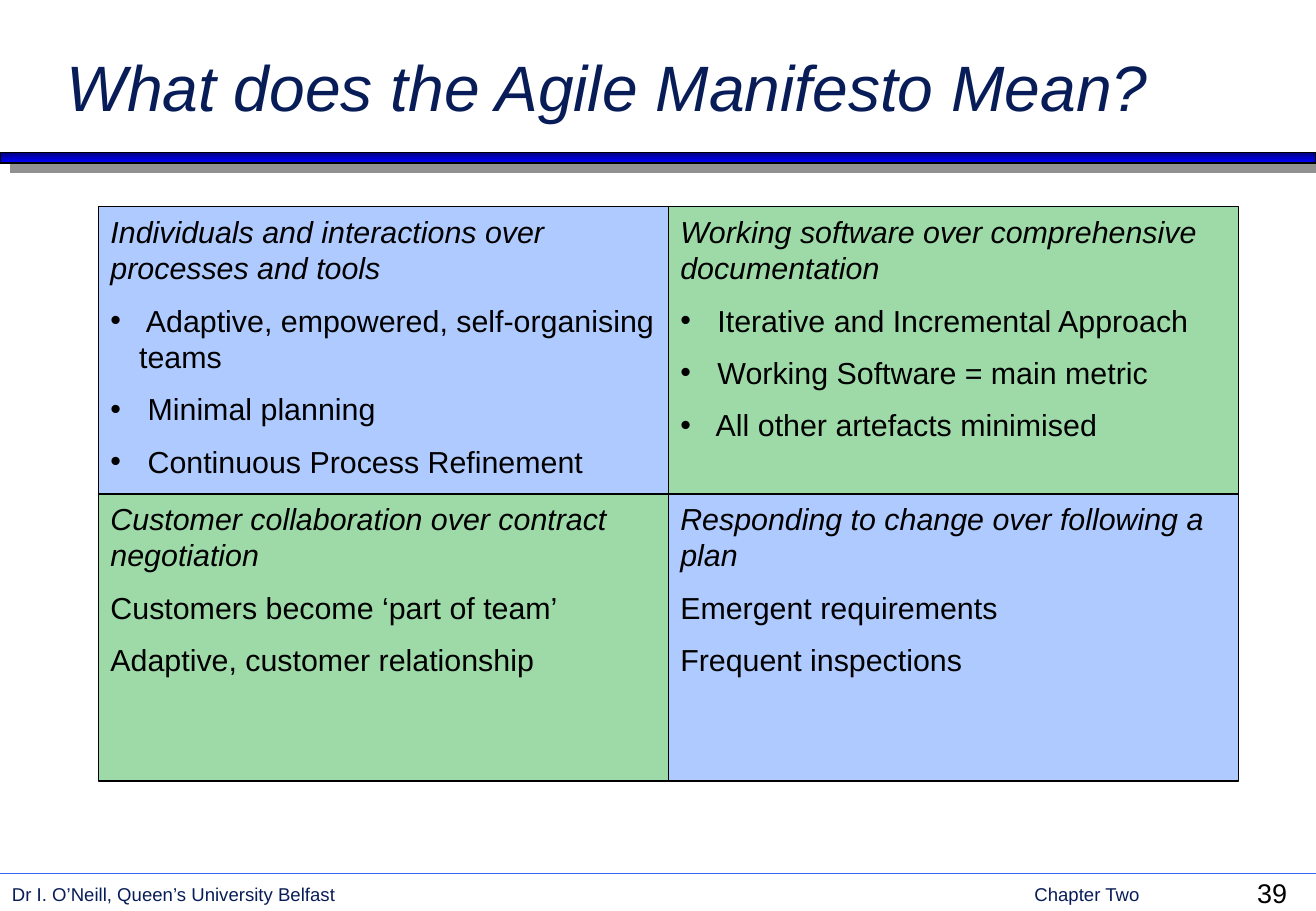
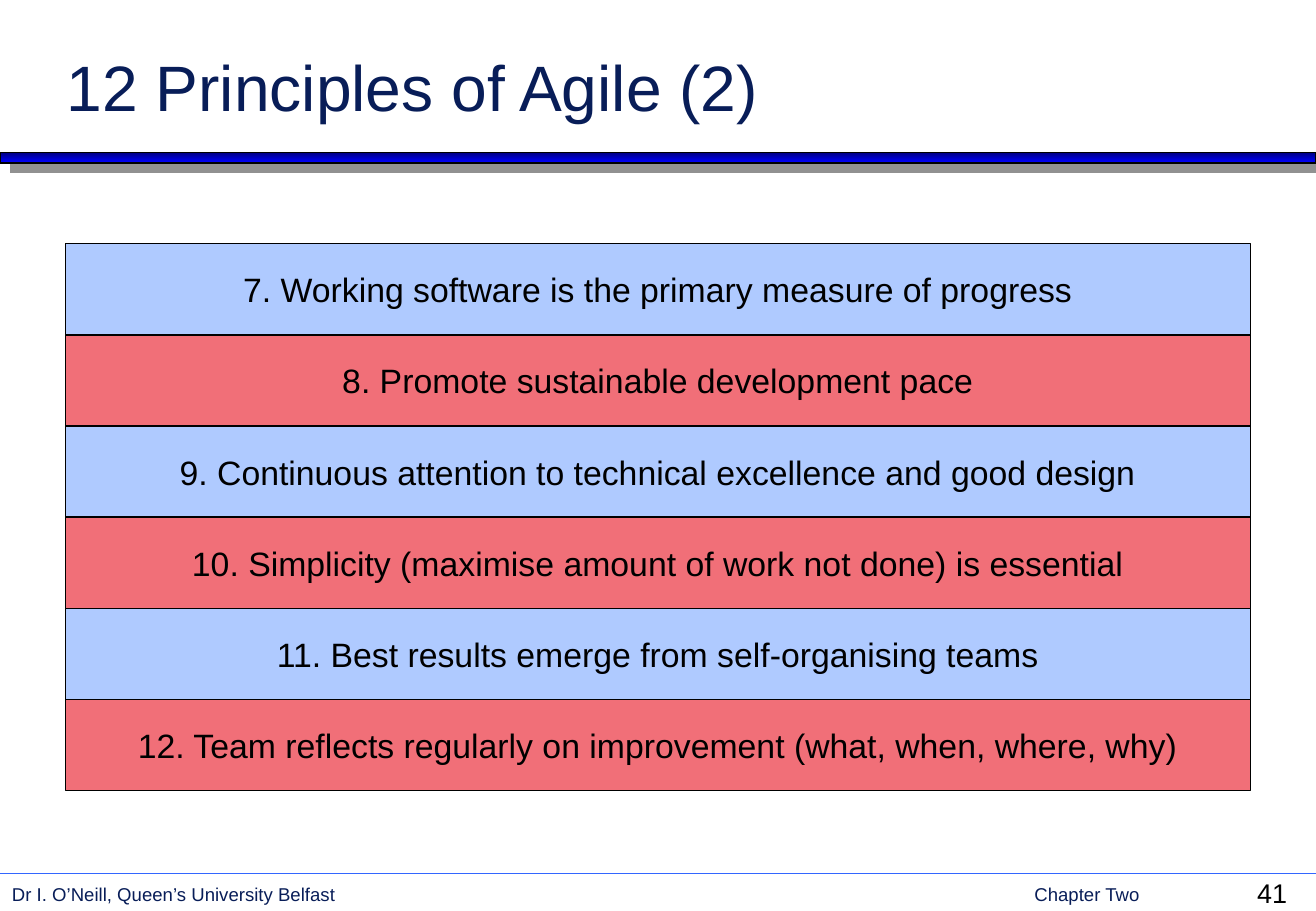
from lxml.etree import SubElement
from pptx import Presentation
from pptx.dml.color import RGBColor
from pptx.enum.shapes import MSO_CONNECTOR, MSO_SHAPE
from pptx.enum.text import MSO_ANCHOR, PP_ALIGN
from pptx.oxml.ns import qn
from pptx.util import Pt

COLOURS = {
    "navy": "081D58",
    "black": "000000",
    "bar_top": "000082",
    "bar_bottom": "0000FF",
    "bar_shadow": "919191",
    "rule": "3366FF",
    "blue": "AFCAFF",
    "green": "9EDAA8",
    "red": "F16F78",
}
FONT = "Arial"
WIDTH, HEIGHT = 780, 540
BULLET_INDENT = 17


def colour(name):
    return RGBColor.from_string(COLOURS[name])


def write(frame, text, size=18, ink="black", italic=False, bullet=False,
          align=PP_ALIGN.LEFT, before=0, first=True):
    para = frame.paragraphs[0] if first else frame.add_paragraph()
    para.alignment = align
    para.space_before = Pt(before)
    span = para.add_run()
    span.text = text
    span.font.name = FONT
    span.font.size = Pt(size)
    span.font.italic = italic
    span.font.color.rgb = colour(ink)
    if bullet:
        properties = para._p.get_or_add_pPr()
        properties.set("marL", str(Pt(BULLET_INDENT)))
        properties.set("indent", str(-Pt(BULLET_INDENT)))
        SubElement(properties, qn("a:buFont")).set("typeface", FONT)
        SubElement(properties, qn("a:buChar")).set("char", "•")


class Deck:
    def __init__(self):
        self.deck = Presentation()
        self.deck.slide_width = Pt(WIDTH)
        self.deck.slide_height = Pt(HEIGHT)
        self.page = None

    def add_page(self, title, number, italic=False):
        self.page = self.deck.slides.add_slide(self.deck.slide_layouts[6])
        self.label("Dr I. O’Neill, Queen’s University Belfast", 0, 519.8, 300, 21,
                   size=11, ink="navy")
        self.label("Chapter Two", 606, 519.8, 112, 21, size=11, ink="navy")
        self.title_bar()
        self.rule(517.7)
        self.label(str(number), 738, 516.2, 42, 27, size=16)
        self.label(title, 32.4, 20.9, 666, 56.2, anchor=MSO_ANCHOR.BOTTOM,
                   size=38, ink="navy", italic=italic)

    def label(self, text, left, top, width, height, anchor=MSO_ANCHOR.TOP, **style):
        box = self.page.shapes.add_textbox(Pt(left), Pt(top), Pt(width), Pt(height))
        box.text_frame.word_wrap = True
        box.text_frame.vertical_anchor = anchor
        write(box.text_frame, text, **style)

    def rectangle(self, left, top, width, height, fill, outline=0.75):
        box = self.page.shapes.add_shape(
            MSO_SHAPE.RECTANGLE, Pt(left), Pt(top), Pt(width), Pt(height))
        box.shadow.inherit = False
        box.fill.solid()
        box.fill.fore_color.rgb = colour(fill)
        if outline:
            box.line.color.rgb = colour("black")
            box.line.width = Pt(outline)
        else:
            box.line.fill.background()
        return box

    def title_bar(self):
        top, height, offset = 90.5, 6, 6
        self.rectangle(offset, top + offset, WIDTH - offset, height,
                       "bar_shadow", outline=0)
        bar = self.rectangle(0, top, WIDTH, height, "bar_top", outline=1)
        bar.fill.gradient()
        bar.fill.gradient_angle = 270
        for stop, name in zip(bar.fill.gradient_stops, ("bar_top", "bar_bottom")):
            stop.color.rgb = colour(name)

    def rule(self, top):
        line = self.page.shapes.add_connector(
            MSO_CONNECTOR.STRAIGHT, Pt(0), Pt(top), Pt(WIDTH), Pt(top))
        line.line.color.rgb = colour("rule")
        line.line.width = Pt(1)
        SubElement(line._element.spPr, qn("a:effectLst"))

    def quadrant(self, heading, points, bullet, left, top, width, height, fill):
        frame = self.rectangle(left, top, width, height, fill).text_frame
        frame.word_wrap = True
        frame.vertical_anchor = MSO_ANCHOR.TOP
        write(frame, heading, italic=True)
        for point in points:
            write(frame, point, bullet=bullet, before=9.5, first=False)

    def band(self, text, left, top, width, height, fill):
        frame = self.rectangle(left, top, width, height, fill).text_frame
        frame.word_wrap = False
        frame.vertical_anchor = MSO_ANCHOR.MIDDLE
        write(frame, text, size=20, align=PP_ALIGN.CENTER)

    def save(self):
        self.deck.save("out.pptx")


VALUES = [
    ("Individuals and interactions over processes and tools",
     [" Adaptive, empowered, self-organising teams", " Minimal planning",
      " Continuous Process Refinement"]),
    ("Working software over comprehensive documentation",
     [" Iterative and Incremental Approach", " Working Software = main metric",
      " All other artefacts minimised"]),
    ("Customer collaboration over contract negotiation",
     ["Customers become ‘part of team’", "Adaptive, customer relationship"]),
    ("Responding to change over following a plan",
     ["Emergent requirements", "Frequent inspections"]),
]
PRINCIPLES = [
    "Working software is the primary measure of progress",
    "Promote sustainable development pace",
    "Continuous attention to technical excellence and good design",
    "Simplicity (maximise amount of work not done) is essential",
    "Best results emerge from self-organising teams",
    "Team reflects regularly on improvement (what, when, where, why)",
]

deck = Deck()

deck.add_page("What does the Agile Manifesto Mean?", 39, italic=True)
cell_width, cell_height = 337.75, 170.15
for index, (heading, points) in enumerate(VALUES):
    row, column = divmod(index, 2)
    deck.quadrant(heading, points, row == 0,
                  58.4 + column * cell_width, 122.6 + row * cell_height,
                  cell_width, cell_height, ("blue", "green")[(row + column) % 2])

deck.add_page("12 Principles of Agile (2)", 41)
band_height = 54
for index, principle in enumerate(PRINCIPLES):
    deck.band(f"{index + 7}. {principle}", 39, 144.5 + index * band_height,
              702, band_height, ("blue", "red")[index % 2])

deck.save()
